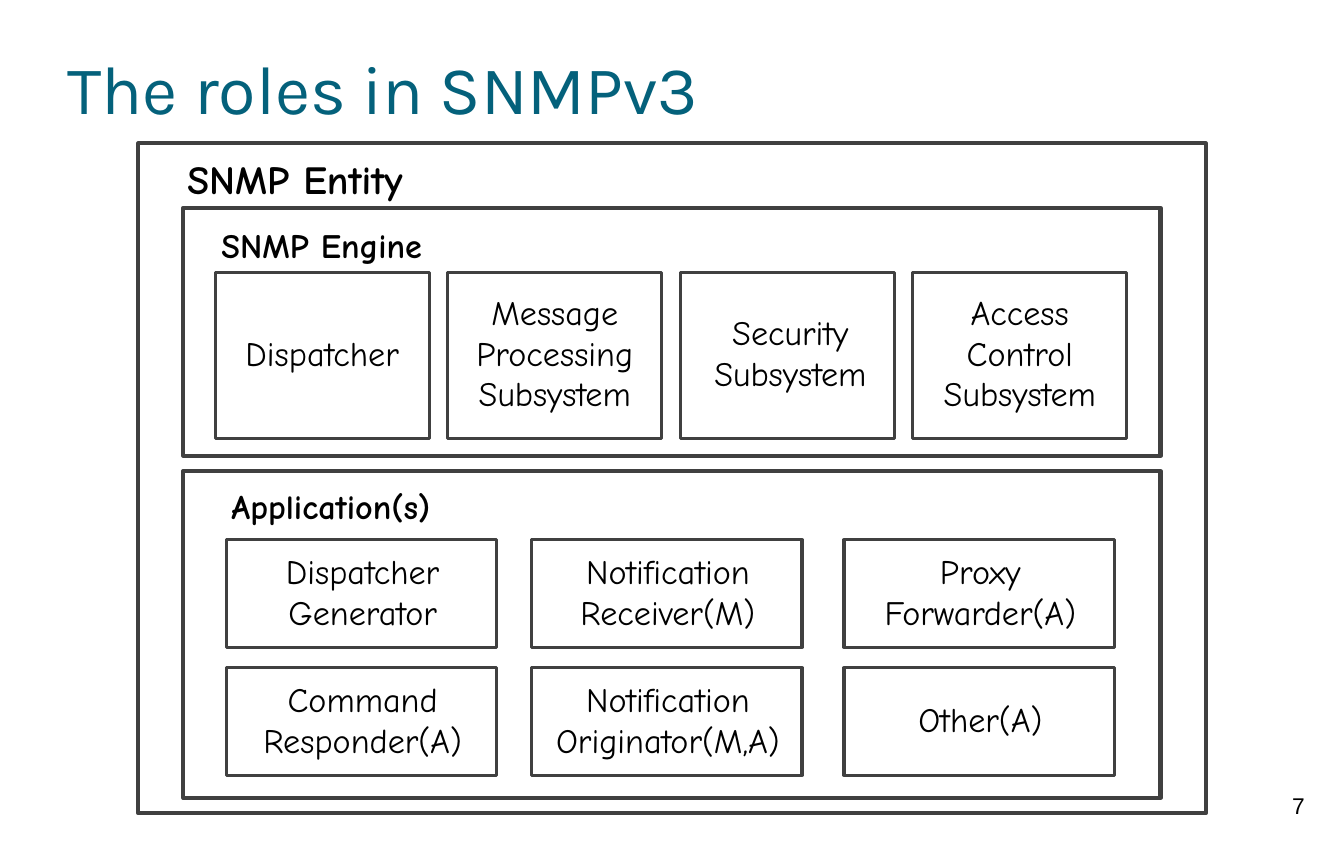
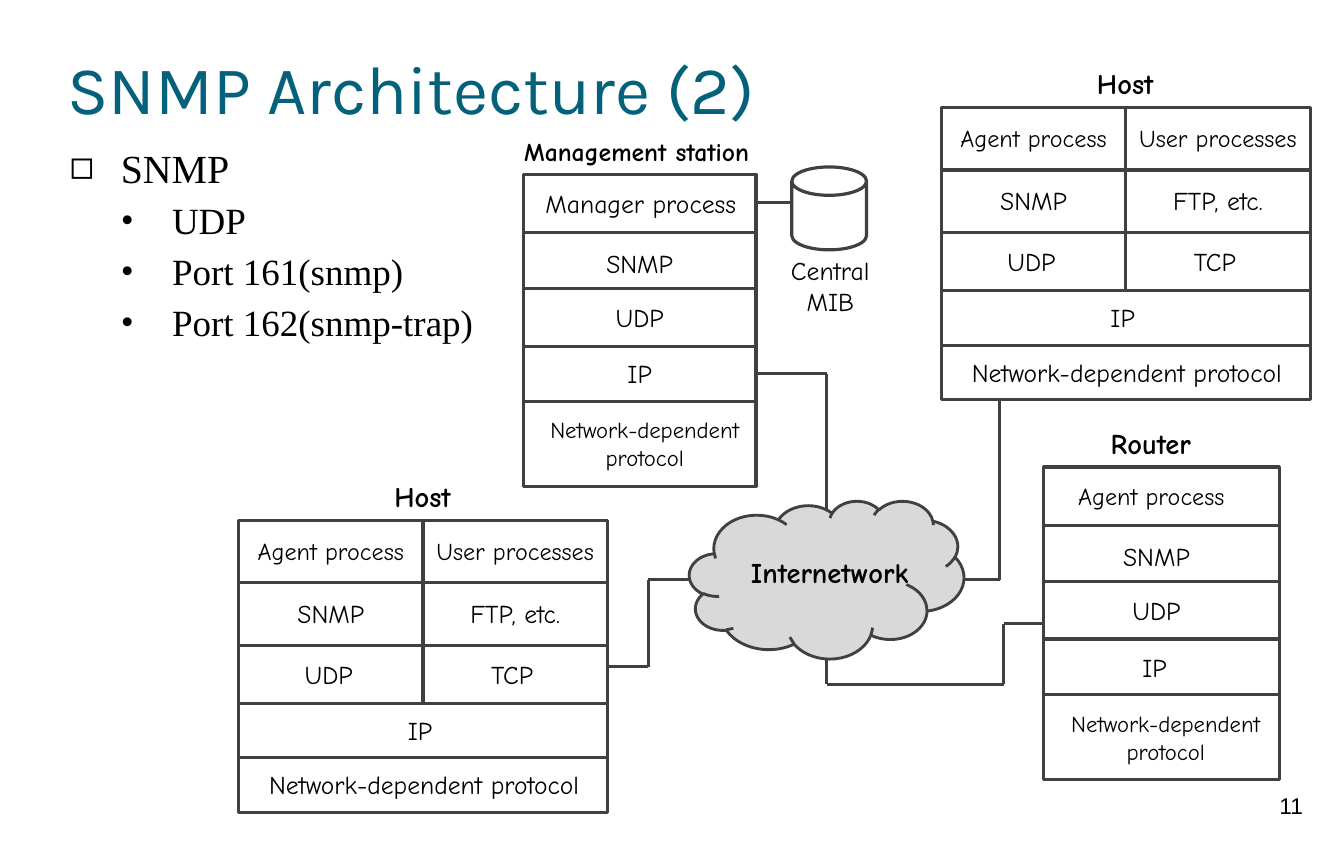
from itertools import pairwise

from lxml import etree
from pptx import Presentation
from pptx.dml.color import RGBColor
from pptx.enum.shapes import MSO_CONNECTOR, MSO_SHAPE
from pptx.enum.text import MSO_ANCHOR, PP_ALIGN
from pptx.oxml.ns import qn
from pptx.util import Inches, Pt

RECT, CLOUD, CAN = MSO_SHAPE.RECTANGLE, MSO_SHAPE.CLOUD, MSO_SHAPE.CAN
STRAIGHT = MSO_CONNECTOR.STRAIGHT
LEFT, CENTER = PP_ALIGN.LEFT, PP_ALIGN.CENTER
TOP, MIDDLE = MSO_ANCHOR.TOP, MSO_ANCHOR.MIDDLE

COLORS = {"title": "04617B", "text": "000000", "line": "404040", "cloud": "D9D9D9"}
FONTS = {
    "title": {"name": "Karla", "size": Pt(48)},
    "number": {"name": "Arial", "size": Pt(16)},
    "bullet1": {"name": "Times New Roman", "size": Pt(28)},
    "bullet2": {"name": "Times New Roman", "size": Pt(26)},
}
HOST_ROWS = [
    [("Agent process", 17), ("User processes", 17)],
    [("SNMP", 18), ("FTP, etc.", 18)],
    [("UDP", 18, -0.02), ("TCP", 18, -0.03)],
    [("IP", 18, -0.03)],
    [("Network-dependent protocol", 18, 0.01)],
]
HOST_EDGES = [0, 0.61, 1.22, 1.79, 2.32, 2.85]
STACK_EDGES = [0, 0.57, 1.12, 1.68, 2.22, 3.05]
NETWORK = "Network-dependent\nprotocol"


def rgb(key):
    """Return a palette colour."""
    return RGBColor.from_string(COLORS[key])


def comic(size, bold=False):
    """Return the font values of diagram text."""
    return {"name": "Comic Neue", "size": Pt(size), "bold": bold}


def apply(target, values):
    """Set each named attribute on the target."""
    for name, value in values.items():
        setattr(target, name, value)


def write(tf, text, font, color="text", align=CENTER, anchor=TOP, insets=(0.1, 0.05, 0.1, 0.05)):
    """Fill a text frame with one paragraph per line of text."""
    sides = ("margin_left", "margin_top", "margin_right", "margin_bottom")
    apply(tf, {"word_wrap": True, "vertical_anchor": anchor})
    apply(tf, dict(zip(sides, map(Inches, insets))))
    for i, line in enumerate(text.split("\n")):
        p = tf.paragraphs[0] if i == 0 else tf.add_paragraph()
        p.alignment = align
        r = p.add_run()
        r.text = line
        apply(r.font, font)
        r.font.color.rgb = rgb(color)


def label(s, at, text, font, **kw):
    """Add a text box."""
    write(s.shapes.add_textbox(*map(Inches, at)).text_frame, text, font, **kw)


def outline(s, kind, at, width=2.25, fill=None):
    """Add an outlined preset shape."""
    sp = s.shapes.add_shape(kind, *map(Inches, at))
    sp.shadow.inherit = False
    sp.line.color.rgb = rgb("line")
    sp.line.width = Pt(width)
    if fill:
        sp.fill.solid()
        sp.fill.fore_color.rgb = rgb(fill)
    else:
        sp.fill.background()
    return sp


def box(s, at, text, dx=0.01, bottom=0.05):
    """Add a rectangle with centred text, moved sideways by dx."""
    insets = (max(0, 2 * dx), 0, max(0, -2 * dx), bottom)
    write(outline(s, RECT, at).text_frame, text, comic(24), anchor=MIDDLE, insets=insets)


def route(s, *points):
    """Join points with straight connectors."""
    for start, end in pairwise(points):
        c = s.shapes.add_connector(STRAIGHT, *map(Inches, start + end))
        c.line.color.rgb = rgb("line")
        c.line.width = Pt(2.25)
        etree.SubElement(c._element.spPr, qn("a:effectLst"))


def stack(s, left, top, width, edges, rows):
    """Add a framed protocol stack whose rows hold (text, size, dx, dy) cells."""
    outline(s, RECT, (left, top, width, edges[-1]))
    for edge in edges[1:-1]:
        route(s, (left, top + edge), (left + width, top + edge))
    for cells, (start, end) in zip(rows, pairwise(edges)):
        span = width / len(cells)
        for i, (text, size, *shift) in enumerate(cells):
            dx, dy = (shift + [0, 0])[:2]
            at = (left + i * span + dx, top + start + dy, span, end - start)
            label(s, at, text, comic(size), anchor=MIDDLE, insets=(0, 0, 0, 0.01))


def host(s, left, top):
    """Add a host stack with two columns above the shared layers."""
    stack(s, left, top, 3.6, HOST_EDGES, HOST_ROWS)
    route(s, (left + 1.8, top + HOST_EDGES[3]), (left + 1.8, top))
    label(s, (left + 0.89, top - 0.45, 1.81, 0.44), "Host", comic(20, True))


def bullets(s, at, items):
    """Add a bulleted list of (level, text) items."""
    tf = s.shapes.add_textbox(*map(Inches, at)).text_frame
    apply(tf, {"word_wrap": True, "margin_left": 0, "margin_top": 0})
    for i, (level, text) in enumerate(items):
        p = tf.paragraphs[0] if i == 0 else tf.add_paragraph()
        apply(p, {"level": level, "line_spacing": 1.15, "alignment": LEFT})
        font = FONTS[f"bullet{level + 1}"]
        pPr = p._p.get_or_add_pPr()
        pPr.set("marL", str(Inches(0.75 + 0.5 * level)))
        pPr.set("indent", str(Inches(-0.5)))
        etree.SubElement(pPr, qn("a:buFont")).set("typeface", font["name"])
        etree.SubElement(pPr, qn("a:buChar")).set("char", "◻•"[level])
        r = p.add_run()
        r.text = text
        apply(r.font, font)
        r.font.color.rgb = rgb("text")


def new_slide(prs, title, number, number_left):
    """Add a blank slide with its title and page number."""
    s = prs.slides.add_slide(prs.slide_layouts[6])
    label(s, (0.66, 0.16, 11.81, 1.38), title, FONTS["title"], color="title",
          align=LEFT, anchor=MIDDLE, insets=(0, 0, 0, 0))
    label(s, (number_left, 7.63, 0.79, 0.63), number, FONTS["number"], insets=(0.1,) * 4)
    return s


def roles_slide(prs):
    """Build the SNMP entity diagram."""
    s = new_slide(prs, "The roles in SNMPv3", "7", 12.28)
    for frame in [(1.35, 1.4, 10.42, 6.54), (1.79, 2.03, 9.54, 2.42), (1.79, 4.6, 9.54, 3.19)]:
        outline(s, RECT, frame, 3)
    label(s, (1.53, 1.46, 2.7, 0.57), "SNMP Entity", comic(28, True))
    label(s, (1.79, 2.14, 2.7, 0.5), "SNMP Engine", comic(24, True))
    label(s, (2.1, 4.69, 2.26, 0.5), "Application(s)", comic(24, True))
    engine = [("Dispatcher", 0), ("Message\nProcessing\nSubsystem", 0),
              ("Security\nSubsystem", 0.03), ("Access\nControl\nSubsystem", 0)]
    for i, (text, dx) in enumerate(engine):
        box(s, (2.1 + 2.27 * i, 2.66, 2.09, 1.62), text, dx, 0.06)
    applications = [
        ["Dispatcher\nGenerator", "Notification\nReceiver(M)", "Proxy\nForwarder(A)"],
        ["Command\nResponder(A)", "Notification\nOriginator(M,A)", "Other(A)"],
    ]
    for row, texts in enumerate(applications):
        for left, text in zip((2.21, 5.19, 8.24), texts):
            box(s, (left, 5.27 + 1.25 * row, 2.64, 1.05), text)


def architecture_slide(prs):
    """Build the network diagram."""
    s = new_slide(prs, "SNMP Architecture (2)", "11", 12.21)
    bullets(s, (0.43, 1.33, 4.6, 2.05),
            [(0, "SNMP"), (1, "UDP"), (1, "Port 161(snmp)"), (1, "Port 162(snmp-trap)")])
    route(s, (8.07, 6.43), (8.07, 6.68), (9.8, 6.68), (9.8, 6.09), (10.19, 6.09))
    route(s, (6.74, 5.66), (6.33, 5.66), (6.33, 6.51), (5.93, 6.51))
    route(s, (9.41, 5.66), (9.76, 5.66), (9.76, 3.91))
    route(s, (7.38, 3.65), (8.07, 3.65), (8.07, 4.98))
    route(s, (7.39, 1.98), (7.73, 1.98))
    outline(s, CLOUD, (6.73, 4.89, 2.68, 1.54), 2, "cloud")
    label(s, (7.09, 5.37, 2.02, 0.44), "Internetwork", comic(20, True))
    outline(s, CAN, (7.73, 1.63, 0.73, 0.81)).adjustments[0] = 0.38
    label(s, (7.2, 2.44, 1.81, 0.71), "Central\nMIB", comic(18))
    host(s, 2.33, 5.08)
    host(s, 9.19, 1.05)
    station = [("Manager process", 18, 0.01), ("SNMP", 18, 0, 0.03), ("UDP", 18),
               ("IP", 18), (NETWORK, 16, 0.05)]
    stack(s, 5.11, 1.7, 2.27, STACK_EDGES, [[cell] for cell in station])
    label(s, (4.87, 1.28, 2.69, 0.4), "Management station", comic(18, True))
    router = [("Agent process", 17, -0.1), ("SNMP", 18, -0.05, 0.03), ("UDP", 18, -0.05),
              ("IP", 18, -0.07, 0.01), (NETWORK, 16, 0.04, 0.01)]
    stack(s, 10.19, 4.56, 2.3, STACK_EDGES, [[cell] for cell in router])
    label(s, (10.33, 4.11, 1.81, 0.44), "Router", comic(20, True))


def main():
    """Build and save the presentation."""
    prs = Presentation()
    apply(prs, {"slide_width": Inches(13.12), "slide_height": Inches(8.27)})
    roles_slide(prs)
    architecture_slide(prs)
    prs.save("out.pptx")


if __name__ == "__main__":
    main()
